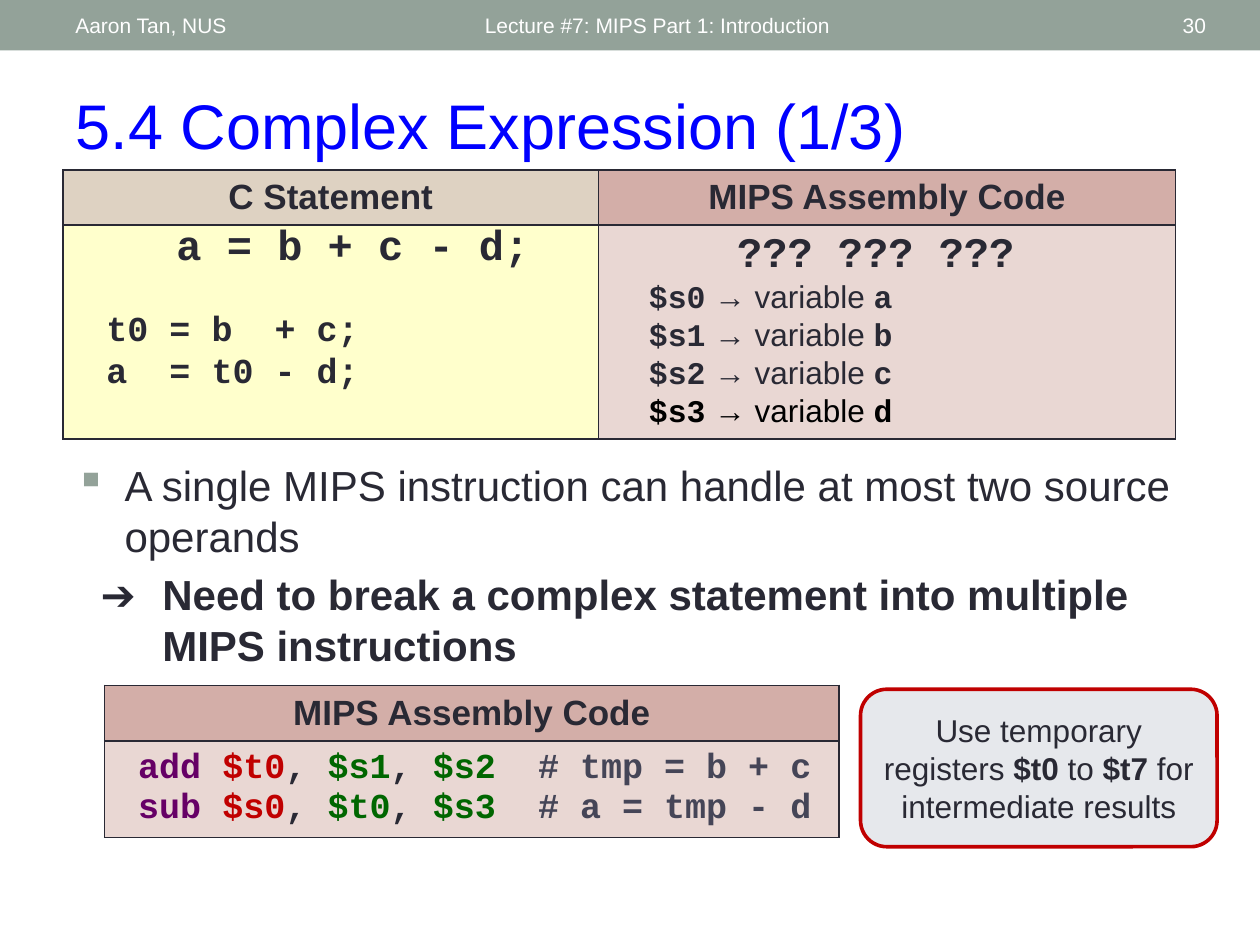
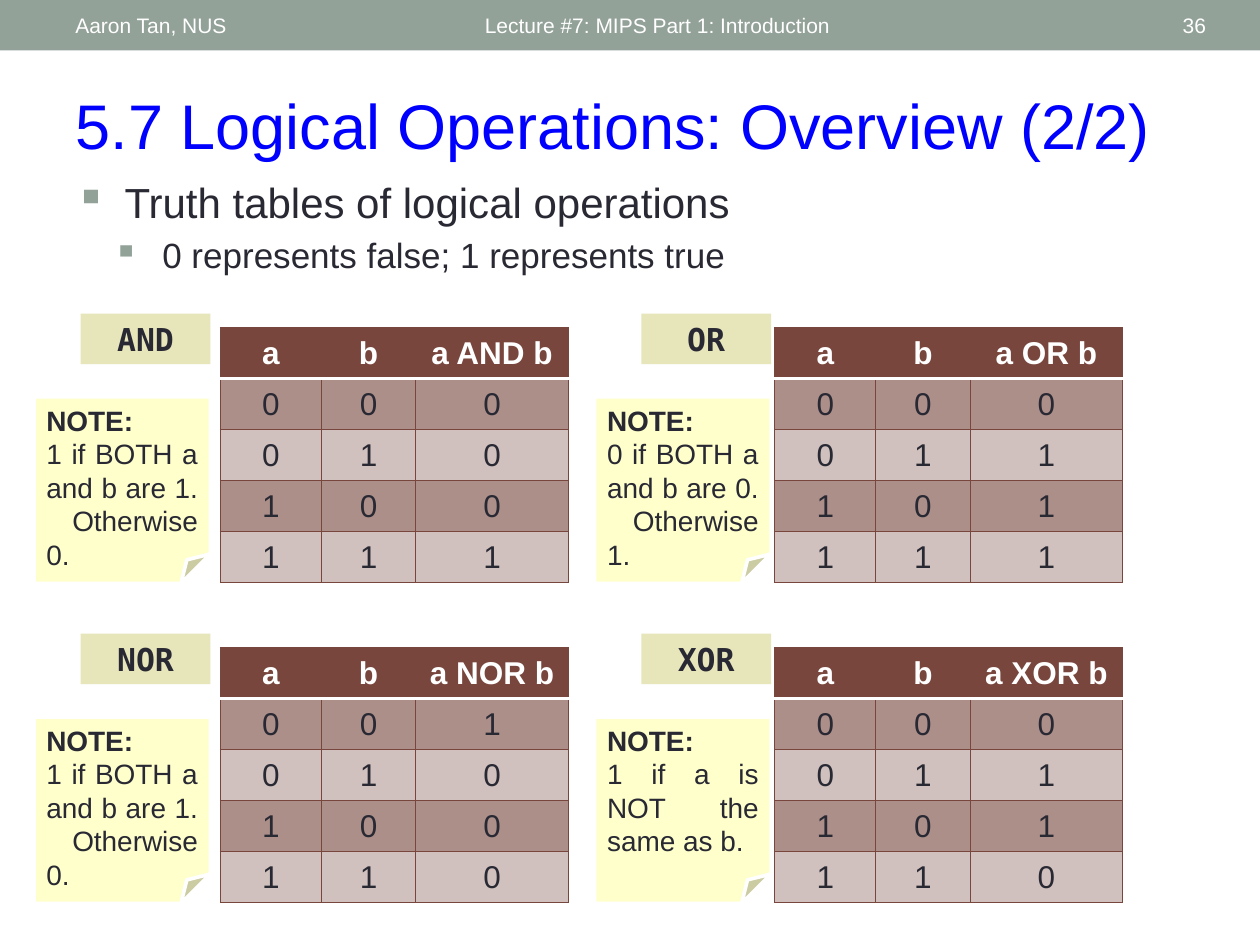
from dataclasses import dataclass
from typing import Optional

from lxml import etree
from pptx import Presentation
from pptx.dml.color import RGBColor
from pptx.enum.shapes import MSO_SHAPE as Shape
from pptx.enum.text import MSO_ANCHOR as Anchor, PP_ALIGN as Align
from pptx.oxml.ns import qn
from pptx.util import Inches, Pt

SANS, MONO, LABEL_FONT = "Arial", "Courier New", "DejaVu Sans Mono"
INK, WHITE, BAND, TITLE = "292934", "FFFFFF", "93A299", "0000FF"
SAND, ROSE, PALE_ROSE, NOTE = "DED2C2", "D3AEA8", "E9D7D3", "FFFFCC"
LABEL, BROWN, STRIPES = "E7E5BA", "79463D", ("AD8F8A", "D0C1BE")
RED, GREEN, PURPLE, COMMENT, CALLOUT = "C00000", "006600", "660066", "454557", "E6E8EC"


@dataclass
class Run:
    text: str
    size: float = 18
    color: str = INK
    bold: bool = False
    font: str = SANS


@dataclass
class Para:
    runs: list[Run]
    align: Align = Align.LEFT
    left: float = 0
    hang: float = 0
    bullet: bool = False
    before: float = 0
    line: Optional[float] = None
    level: int = 0


@dataclass
class Box:
    left: float
    top: float
    width: float
    height: float

    def emu(self) -> tuple:
        return tuple(Inches(v) for v in (self.left, self.top, self.width, self.height))


@dataclass
class Gate:
    name: str
    note: str
    outputs: str
    left: float
    top: float
    table_left: float


GATES = [
    Gate("AND", "1 if BOTH a and b are 1.  Otherwise 0.", "0001", 0.27, 2.49, 1.75),
    Gate("OR", "0 if BOTH a and b are 0.  Otherwise 1.", "0111", 4.72, 2.49, 6.15),
    Gate("NOR", "1 if BOTH a and b are 1.  Otherwise 0.", "1000", 0.27, 5.03, 1.75),
    Gate("XOR", "1 if a is NOT the same as b.", "0110", 4.72, 5.03, 6.15),
]


def rgb(value: str) -> RGBColor:
    return RGBColor.from_string(value)


def write(tf, paras: list[Para], anchor: Anchor = Anchor.TOP) -> None:
    tf.word_wrap = True
    tf.vertical_anchor = anchor
    fill_paragraphs(tf, paras)


def fill_paragraphs(tf, paras: list[Para]) -> None:
    for i, para in enumerate(paras):
        p = tf.paragraphs[0] if i == 0 else tf.add_paragraph()
        formats = {"alignment": para.align, "level": para.level}
        if para.line:
            formats["line_spacing"] = Pt(para.line)
        if para.before and i:
            formats["space_before"] = Pt(para.before)
        for name, value in formats.items():
            setattr(p, name, value)
        pPr = p._p.get_or_add_pPr()
        if para.left:
            pPr.set("marL", str(Inches(para.left)))
            pPr.set("indent", str(Inches(-para.hang)))
        if para.bullet:
            clr = etree.SubElement(pPr, qn("a:buClr"))
            etree.SubElement(clr, qn("a:srgbClr"), val=BAND)
            etree.SubElement(pPr, qn("a:buChar"), char="▪")
        for run in para.runs:
            r = p.add_run()
            r.text = run.text
            r.font.color.rgb = rgb(run.color)
            for name, value in {"name": run.font, "size": Pt(run.size), "bold": run.bold}.items():
                setattr(r.font, name, value)


def add_text(slide, box: Box, paras: list[Para], anchor: Anchor = Anchor.TOP) -> None:
    write(slide.shapes.add_textbox(*box.emu()).text_frame, paras, anchor)


def add_panel(slide, kind: Shape, box: Box, fill: str, paras: list[Para],
              anchor: Anchor = Anchor.TOP, line: Optional[str] = None) -> None:
    sp = slide.shapes.add_shape(kind, *box.emu())
    sp.shadow.inherit = False
    sp.fill.solid()
    sp.fill.fore_color.rgb = rgb(fill)
    if line:
        sp.line.color.rgb = rgb(line)
        sp.line.width = Pt(2.08)
    else:
        sp.line.fill.background()
    write(sp.text_frame, paras, anchor)


def add_grid(slide, left: float, top: float, cols: list[float], rows: list[float]):
    box = Box(left, top, sum(cols), sum(rows))
    table = slide.shapes.add_table(len(rows), len(cols), *box.emu()).table
    for column, width in zip(table.columns, cols):
        column.width = Inches(width)
    for row, height in zip(table.rows, rows):
        row.height = Inches(height)
    return table


def set_cell(cell, paras: list[Para], fill: str, border: str, width: float,
             anchor: Anchor = Anchor.MIDDLE, **edges: tuple[str, float]) -> None:
    tcPr = cell._tc.get_or_add_tcPr()
    for side in "LRTB":
        color, points = edges.get(side, (border, width))
        ln = etree.SubElement(tcPr, qn(f"a:ln{side}"), w=str(Pt(points)))
        solid = etree.SubElement(ln, qn("a:solidFill"))
        etree.SubElement(solid, qn("a:srgbClr"), val=color)
    cell.fill.solid()
    cell.fill.fore_color.rgb = rgb(fill)
    cell.vertical_anchor = anchor
    fill_paragraphs(cell.text_frame, paras)


def add_base(prs, title: str, number: str):
    slide = prs.slides.add_slide(prs.slide_layouts[5])
    add_panel(slide, Shape.RECTANGLE, Box(0, 0, 10, 0.4), BAND, [])
    footers = [
        (3.75, 4.5, "Lecture #7: MIPS Part 1: Introduction", Align.LEFT),
        (0.5, 3.17, "Aaron Tan, NUS", Align.LEFT),
        (8.72, 0.95, number, Align.RIGHT),
    ]
    for left, width, text, align in footers:
        add_text(slide, Box(left, 0.02, width, 0.36),
                 [Para([Run(text, 12, WHITE)], align)], Anchor.MIDDLE)
    sp = slide.shapes.title
    for name, value in zip(("left", "top", "width", "height"), Box(0.5, 0.64, 9.17, 0.71).emu()):
        setattr(sp, name, value)
    write(sp.text_frame, [Para([Run(title, 36, TITLE)])])
    return slide


def heading(text: str) -> list[Para]:
    return [Para([Run(text, 20, bold=True)], Align.CENTER)]


def code(text: str, size: float = 20, color: str = INK) -> Run:
    return Run(text, size, color, True, MONO)


def instruction(op: str, target: str, first: str, second: str, comment: str) -> Para:
    parts = [(f" {op} ", PURPLE), (target, RED), (", ", INK), (first, GREEN),
             (", ", INK), (f"{second}  ", GREEN), (comment, COMMENT)]
    return Para([code(text, color=color) for text, color in parts])


def build_expression(prs) -> None:
    slide = add_base(prs, "5.4 Complex Expression (1/3)", "30")
    add_text(slide, Box(0.5, 3.6, 9, 1.8), [
        Para([Run("A single MIPS instruction can handle at most two source operands", 24)],
             left=0.39, hang=0.39, bullet=True),
        Para([Run("➔\t", 24),
              Run("Need to break a complex statement into multiple MIPS instructions", 24, bold=True)],
             left=0.69, hang=0.49, before=4.8),
    ])

    mapping = [Para([code("??? ??? ???", 24)], left=1)]
    for i, variable in enumerate("abcd"):
        color = "000000" if variable == "d" else INK
        mapping.append(Para([code(f"$s{i}", 18, color), Run(" → variable ", color=color),
                             code(variable, 18, color)], left=0.3))
    table = add_grid(slide, 0.5, 1.35, [4.25, 4.58], [0.43, 1.7])
    set_cell(table.cell(0, 0), heading("C Statement"), SAND, INK, 1)
    set_cell(table.cell(0, 1), heading("MIPS Assembly Code"), ROSE, INK, 1)
    set_cell(table.cell(1, 0), [Para([code("    a = b + c - d;", 24)], line=24)],
             NOTE, INK, 1, Anchor.TOP)
    set_cell(table.cell(1, 1), mapping, PALE_ROSE, INK, 1)

    program = [instruction("add", "$t0", "$s1", "$s2", "# tmp = b + c"),
               instruction("sub", "$s0", "$t0", "$s3", "# a = tmp - d")]
    table = add_grid(slide, 0.83, 5.44, [5.83], [0.44, 0.76])
    set_cell(table.cell(0, 0), heading("MIPS Assembly Code"), ROSE, INK, 1)
    set_cell(table.cell(1, 0), program, PALE_ROSE, INK, 1)

    add_panel(slide, Shape.ROUNDED_RECTANGLE, Box(6.83, 5.47, 2.83, 1.25), CALLOUT,
              [Para([Run("Use temporary registers "), Run("$t0 ", bold=True), Run("to "),
                     Run("$t7 ", bold=True), Run("for intermediate results")], Align.CENTER)],
              Anchor.MIDDLE, RED)
    add_text(slide, Box(0.58, 2.38, 2.84, 0.77),
             [Para([code(text)], line=24) for text in (" t0 = b  + c;", " a  = t0 - d;")])


def add_gate(slide, gate: Gate) -> None:
    table = add_grid(slide, gate.table_left, gate.top + 0.11, [0.8, 0.75, 1.21], [0.405] * 5)
    for c, text in enumerate(("a", "b", f"a {gate.name} b")):
        set_cell(table.cell(0, c), [Para([Run(text, color=WHITE, bold=True)], Align.CENTER)],
                 BROWN, BROWN, 0.75, B=(WHITE, 2.08))
    for i, output in enumerate(gate.outputs):
        edges = {"T": (WHITE, 2.08)} if i == 0 else {}
        for c, text in enumerate((str(i // 2), str(i % 2), output)):
            set_cell(table.cell(i + 1, c), [Para([Run(text)], Align.CENTER)],
                     STRIPES[i % 2], BROWN, 0.75, **edges)
    add_panel(slide, Shape.RECTANGLE, Box(gate.left + 0.37, gate.top, 1.03, 0.4), LABEL,
              [Para([Run(gate.name, bold=True, font=LABEL_FONT)], Align.CENTER)])
    add_panel(slide, Shape.FOLDED_CORNER, Box(gate.left, gate.top + 0.66, 1.4, 1.48), NOTE,
              [Para([Run("NOTE:", 16, bold=True)]), Para([Run(gate.note, 16)], Align.JUSTIFY)],
              line=WHITE)


def build_logic(prs) -> None:
    slide = add_base(prs, "5.7 Logical Operations: Overview (2/2)", "36")
    add_text(slide, Box(0.5, 1.35, 9, 1.09), [
        Para([Run("Truth tables of logical operations", 24)], left=0.39, hang=0.39, bullet=True),
        Para([Run("0 represents false; 1 represents true", 20)],
             left=0.69, hang=0.39, bullet=True, before=4, level=1),
    ])
    for gate in GATES:
        add_gate(slide, gate)


def main() -> None:
    """Build the two lecture slides on MIPS expressions and logic."""
    prs = Presentation()
    prs.slide_width, prs.slide_height = Inches(10), Inches(7.5)
    build_expression(prs)
    build_logic(prs)
    prs.save("out.pptx")


if __name__ == "__main__":
    main()
